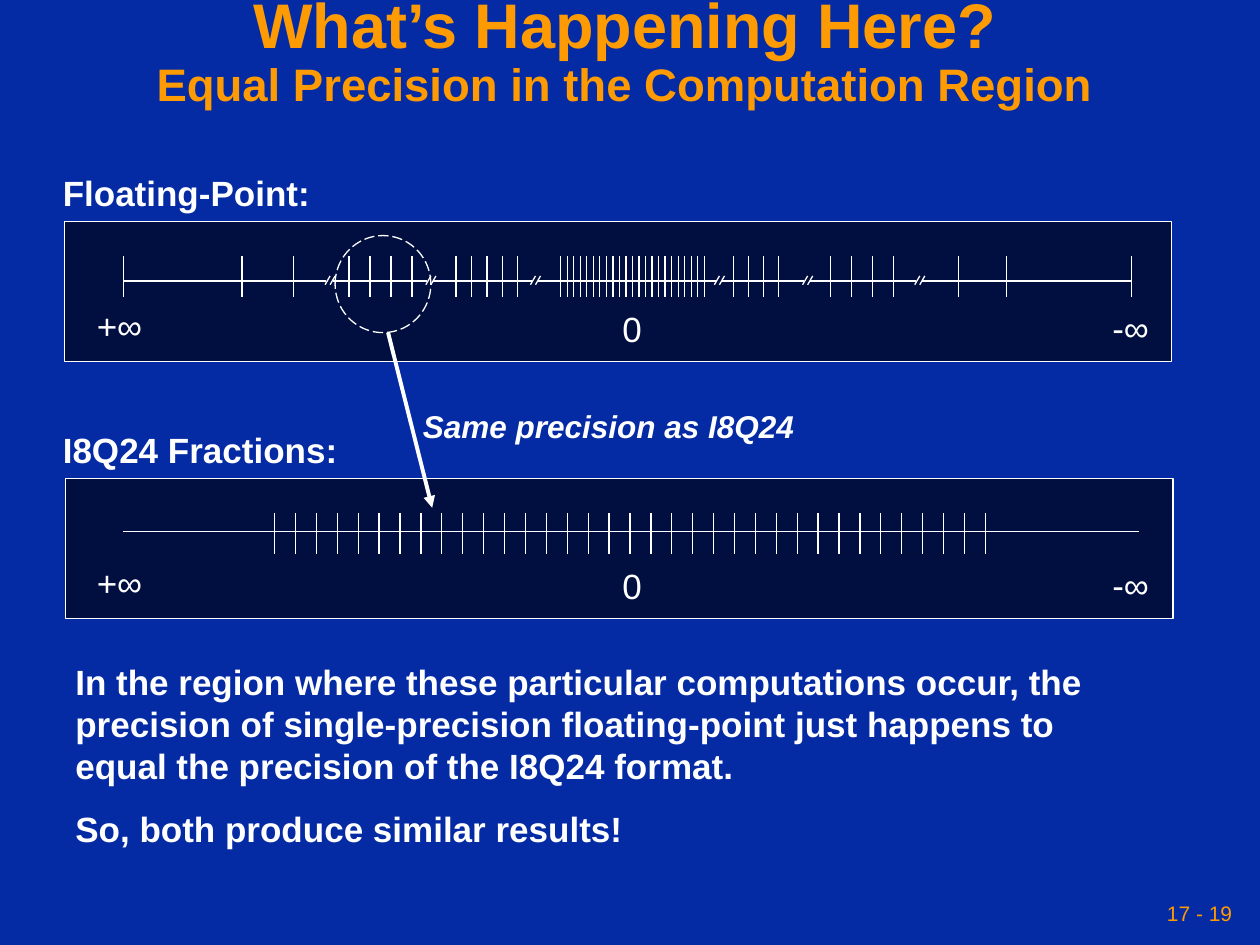
from lxml.etree import SubElement
from pptx import Presentation
from pptx.dml.color import RGBColor
from pptx.enum.dml import MSO_LINE
from pptx.enum.shapes import MSO_CONNECTOR, MSO_SHAPE as SHAPE
from pptx.enum.text import MSO_ANCHOR as ANCHOR, PP_ALIGN as ALIGN
from pptx.oxml.ns import qn
from pptx.util import Inches, Pt

TITLE = [("What’s Happening Here?", 36), ("Equal Precision in the Computation Region", 26)]
CONCLUSIONS = [
    "In the region where these particular computations occur, the precision of "
    "single-precision floating-point just happens to equal the precision of the I8Q24 format.",
    "So, both produce similar results!",
]
CALLOUT = "Same precision as I8Q24"
PAGE = "17 - 19"
SCALES = [
    {"heading": "I8Q24 Fractions:", "heading_width": 2.38, "left": 0.52, "top": 3.8,
     "axis": 0.42, "ends": (0.98, 9.04), "breaks": [], "ticks": [(2.18, 7.82, 35)]},
    {"heading": "Floating-Point:", "heading_width": 2.16, "left": 0.51, "top": 1.76,
     "axis": 0.47, "ends": (0.98, 8.98),
     "breaks": [2.62, 3.42, 4.25, 5.71, 6.41, 7.3],
     "ticks": [(0.98, 0.98, 1), (1.92, 2.33, 2), (2.77, 3.27, 4), (3.62, 4.11, 5),
               (4.45, 5.59, 23), (5.82, 6.18, 4), (6.59, 7.09, 4), (7.61, 7.99, 2),
               (8.98, 8.98, 1)]},
]
SCALE_LABELS = [("+∞", 0.67, 0.61, 0.57), ("0", 4.84, 0.63, 0.35), ("-∞", 8.73, 0.62, 0.5)]
PANEL_WIDTH, PANEL_HEIGHT = 8.79, 1.11
TICK_TOP, TICK_HEIGHT = 0.27, 0.33
HEADING_RISE, LABEL_HEIGHT = 0.45, 0.44
BLUE, NAVY, ORANGE, WHITE = "042AA4", "000F40", "FE9B03", "FFFFFF"

deck = Presentation()
deck.slide_width, deck.slide_height = Inches(10), Inches(7.5)
slide = deck.slides.add_slide(deck.slide_layouts[5])


def paint(target, color):
    target.solid()
    target.fore_color.rgb = RGBColor.from_string(color)


def style(paragraph, size, color=WHITE, bold=False, italic=False):
    font = paragraph.font
    font.name, font.bold, font.italic = "Arial", bold, italic
    if size:
        font.size = Pt(size)
    paint(font.fill, color)


def add_text(lines, left, top, width, height, size=20, wrap=False, **look):
    frame = slide.shapes.add_textbox(*map(Inches, (left, top, width, height))).text_frame
    frame.word_wrap = wrap
    frame.text = "\n".join(lines)
    for paragraph in frame.paragraphs:
        style(paragraph, size, **look)
    return frame


def add_line(x1, y1, x2, y2, weight=0.75):
    line = slide.shapes.add_connector(MSO_CONNECTOR.STRAIGHT, *map(Inches, (x1, y1, x2, y2)))
    paint(line.line.fill, WHITE)
    line.line.width = Pt(weight)
    SubElement(line.element.spPr, qn("a:effectLst"))
    return line


def add_outline(kind, left, top, width, height, fill=None):
    outline = slide.shapes.add_shape(kind, *map(Inches, (left, top, width, height)))
    outline.shadow.inherit = False
    if fill:
        paint(outline.fill, fill)
    else:
        outline.fill.background()
    paint(outline.line.fill, WHITE)
    outline.line.width = Pt(0.75)
    return outline


def draw_scale(scale):
    top = scale["top"]
    axis = top + scale["axis"]
    add_outline(SHAPE.RECTANGLE, scale["left"], top, PANEL_WIDTH, PANEL_HEIGHT, NAVY)
    add_text([scale["heading"]], 0.4, top - HEADING_RISE, scale["heading_width"],
             LABEL_HEIGHT, bold=True)
    for label, left, drop, width in SCALE_LABELS:
        add_text([label], left, top + drop, width, LABEL_HEIGHT)

    first, last = scale["ends"]
    starts = [first] + [gap + 0.02 for gap in scale["breaks"]]
    stops = [gap - 0.03 for gap in scale["breaks"]] + [last]
    for start, stop in zip(starts, stops):
        add_line(start, axis, stop, axis)
    for gap in scale["breaks"]:
        for slash in (gap, gap + 0.04):
            add_line(slash, axis - 0.04, slash - 0.04, axis + 0.03)
    for begin, end, count in scale["ticks"]:
        step = (end - begin) / max(count - 1, 1)
        for index in range(count):
            x = begin + index * step
            add_line(x, top + TICK_TOP, x, top + TICK_TOP + TICK_HEIGHT)


paint(slide.background.fill, BLUE)

title = slide.shapes.title
title.left, title.top, title.width, title.height = map(Inches, (0, 0, 9.92, 0.83))
heading = title.text_frame
heading.word_wrap = True
heading.vertical_anchor = ANCHOR.MIDDLE
heading.margin_left = heading.margin_right = Inches(0.05)
title_lines = heading.paragraphs[0]
title_lines.alignment, title_lines.line_spacing = ALIGN.CENTER, 0.9
style(title_lines, None, ORANGE, bold=True)
for index, (words, size) in enumerate(TITLE):
    if index:
        title_lines.add_line_break()
    run = title_lines.add_run()
    run.text, run.font.size = words, Pt(size)

for scale in SCALES:
    draw_scale(scale)

conclusions = add_text(CONCLUSIONS, 0.5, 5.19, 8.76, 1.6, wrap=True, bold=True)
for paragraph in conclusions.paragraphs:
    paragraph.line_spacing = Pt(24)
conclusions.paragraphs[1].space_before = Pt(12)

region = add_outline(SHAPE.OVAL, 2.66, 1.87, 0.76, 0.77)
region.line.dash_style = MSO_LINE.LONG_DASH
arrow = add_line(3.08, 2.64, 3.43, 4.03, 2.25)
SubElement(arrow.element.spPr.find(qn("a:ln")), qn("a:tailEnd"), type="triangle")
callout = add_text([CALLOUT], 3.13, 2.91, 3.4, 0.67, size=18, wrap=True,
                   bold=True, italic=True)
callout.paragraphs[0].alignment = ALIGN.CENTER
callout.paragraphs[0].line_spacing = 1.9

page = add_text([PAGE], 6.83, 7.08, 3, 0.33, size=12, wrap=True, color=ORANGE)
page.vertical_anchor = ANCHOR.MIDDLE
page.margin_right = Inches(0.05)
page.paragraphs[0].alignment = ALIGN.RIGHT

deck.save("out.pptx")
